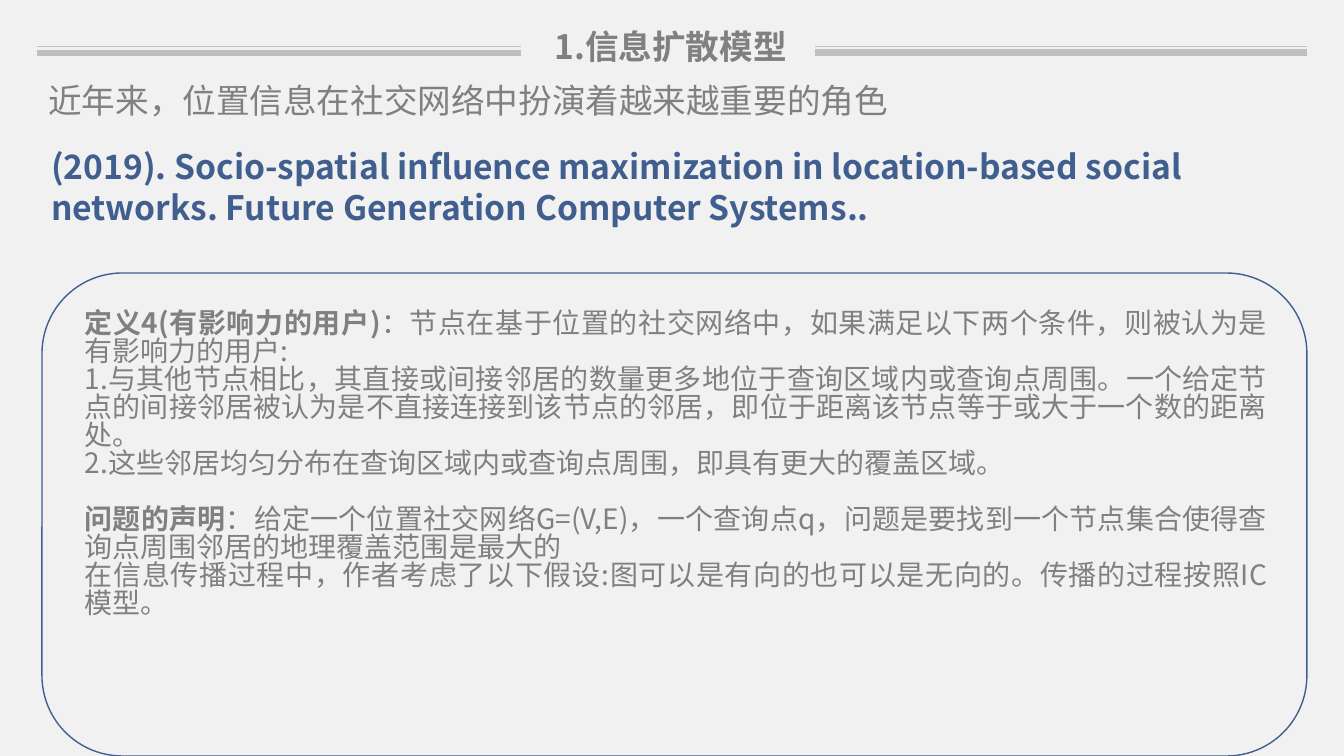
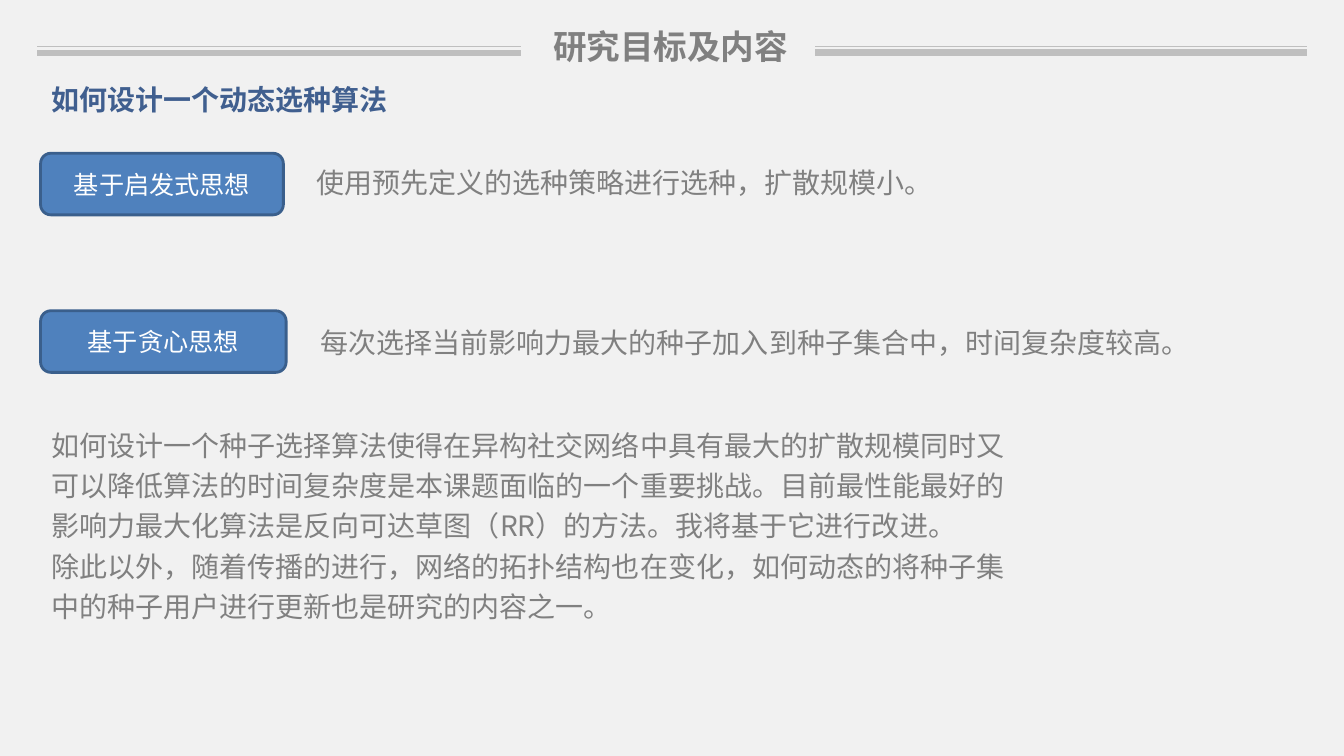
import pptx
import pptx.dml.color
import pptx.enum.shapes
import pptx.enum.text
import pptx.oxml.ns
import pptx.util
from lxml import etree

Pt = pptx.util.Pt
RGBColor = pptx.dml.color.RGBColor
Align = pptx.enum.text.PP_ALIGN
Anchor = pptx.enum.text.MSO_ANCHOR
ROUNDED = pptx.enum.shapes.MSO_SHAPE.ROUNDED_RECTANGLE
STRAIGHT = pptx.enum.shapes.MSO_CONNECTOR.STRAIGHT
qn = pptx.oxml.ns.qn

FONT = "Noto Sans CJK SC"
PAPER = RGBColor(0xF1, 0xF1, 0xF1)
GREY = RGBColor(0x80, 0x80, 0x80)
RAIL = RGBColor(0xBF, 0xBF, 0xBF)
NAVY = RGBColor(0x40, 0x5F, 0x8F)
BUTTON = RGBColor(0x4F, 0x81, 0xBD)
BUTTON_EDGE = RGBColor(0x3A, 0x5F, 0x8C)
WHITE = RGBColor(0xFF, 0xFF, 0xFF)

# Top rails: left end, right end, height, thickness
RAILS = [(582.5, 934, 33, 0.75), (26.5, 372, 33, 0.75),
         (582.5, 934, 37.5, 4.5), (26.5, 372, 38, 4.5)]


def write(shape, *paragraphs, box=None, size=20, color=GREY, bold=False, align=Align.LEFT,
          spacing=None, inset=(7.2, 3.6), anchor=Anchor.TOP, gap_before=None):
    """Fill a shape; a paragraph is a string or a (bold lead, rest) pair."""
    if box:
        shape.left, shape.top, shape.width, shape.height = map(Pt, box)
    frame = shape.text_frame
    frame.word_wrap = True
    frame.auto_size = pptx.enum.text.MSO_AUTO_SIZE.NONE
    frame.vertical_anchor = anchor
    frame.margin_left = frame.margin_right = Pt(inset[0])
    frame.margin_top = frame.margin_bottom = Pt(inset[1])
    for index, content in enumerate(paragraphs):
        paragraph = frame.add_paragraph() if index else frame.paragraphs[0]
        paragraph.alignment = align
        paragraph.line_spacing = spacing
        paragraph.space_before = Pt(20 if index == gap_before else 0)
        properties = paragraph._p.get_or_add_pPr()
        properties.set("marL", "0")
        properties.set("indent", "0")
        etree.SubElement(properties, qn("a:buNone"))
        parts = [(content, bold)] if isinstance(content, str) else zip(content, (True, False))
        for text, heavy in parts:
            run = paragraph.add_run()
            run.text = text
            run.font.size = Pt(size)
            run.font.bold = heavy
            run.font.color.rgb = color
            run.font.name = FONT
            etree.SubElement(run._r.get_or_add_rPr(), qn("a:ea"), typeface=FONT)


def add_titled_slide(title):
    slide = presentation.slides.add_slide(presentation.slide_layouts[1])
    write(slide.shapes.title, title, box=(376, 15, 206.5, 36), size=24, bold=True,
          align=Align.CENTER)
    for left, right, height, thickness in RAILS:
        rail = slide.shapes.add_connector(STRAIGHT, Pt(left), Pt(height), Pt(right), Pt(height))
        rail.line.color.rgb = RAIL
        rail.line.width = Pt(thickness)
        etree.SubElement(rail._element.spPr, qn("a:effectLst"))
    return slide


presentation = pptx.Presentation()
presentation.slide_width = Pt(960.5)
presentation.slide_height = Pt(540)
background = presentation.slide_master.background.fill
background.solid()
background.fore_color.rgb = PAPER

# Slide 1: diffusion model
slide = add_titled_slide("1.信息扩散模型")
frame_shape = slide.shapes.add_shape(ROUNDED, Pt(30), Pt(195), Pt(904), Pt(345))
frame_shape.shadow.inherit = False
frame_shape.fill.background()
frame_shape.line.color.rgb = NAVY
frame_shape.line.width = Pt(1)

write(slide.placeholders[1],
      ("定义4(有影响力的用户)",
       "：节点在基于位置的社交网络中，如果满足以下两个条件，则被认为是有影响力的用户:"),
      "1.与其他节点相比，其直接或间接邻居的数量更多地位于查询区域内或查询点周围。"
      "一个给定节点的间接邻居被认为是不直接连接到该节点的邻居，"
      "即位于距离该节点等于或大于一个数的距离处。",
      "2.这些邻居均匀分布在查询区域内或查询点周围，即具有更大的覆盖区域。",
      ("问题的声明",
       "：给定一个位置社交网络G=(V,E)，一个查询点q，"
       "问题是要找到一个节点集合使得查询点周围邻居的地理覆盖范围是最大的"),
      "在信息传播过程中，作者考虑了以下假设:图可以是有向的也可以是无向的。"
      "传播的过程按照IC模型。",
      box=(55.5, 219, 855, 227.5), align=Align.JUSTIFY, spacing=Pt(20), inset=(5, 3),
      gap_before=3)
write(slide.shapes.add_textbox(0, 0, 0, 0),
      "近年来，位置信息在社交网络中扮演着越来越重要的角色",
      box=(29.5, 62.5, 810, 26.5), size=24, align=Align.JUSTIFY, spacing=Pt(20), inset=(5, 3))
write(slide.shapes.add_textbox(0, 0, 0, 0),
      "(2019). Socio-spatial influence maximization in location-based social networks. "
      "Future Generation Computer Systems..",
      box=(29.5, 101, 907, 65.5), size=24, color=NAVY, bold=True)

# Slide 2: research goals
slide = add_titled_slide("研究目标及内容")
write(slide.shapes.add_textbox(0, 0, 0, 0), "如何设计一个动态选种算法",
      box=(29.5, 55.5, 541.5, 31.5), color=NAVY, bold=True)

# Each approach: button label, button top and width, description, description left and top
approaches = [
    ("基于启发式思想", 109.5, 173.5, "使用预先定义的选种策略进行选种，扩散规模小。", 219, 110),
    ("基于贪心思想", 222, 175.5,
     "每次选择当前影响力最大的种子加入到种子集合中，时间复杂度较高。", 222, 224),
]
for label, top, width, description, text_left, text_top in approaches:
    button = slide.shapes.add_shape(ROUNDED, Pt(29), Pt(top), Pt(width), Pt(44))
    button.shadow.inherit = False
    button.fill.solid()
    button.fill.fore_color.rgb = BUTTON
    button.line.color.rgb = BUTTON_EDGE
    button.line.width = Pt(2)
    write(button, label, size=18, color=WHITE, align=Align.CENTER, anchor=Anchor.MIDDLE)
    write(slide.shapes.add_textbox(0, 0, 0, 0), description,
          box=(text_left, text_top, 704, 34), spacing=1.2)

write(slide.placeholders[1],
      "如何设计一个种子选择算法使得在异构社交网络中具有最大的扩散规模同时又"
      "可以降低算法的时间复杂度是本课题面临的一个重要挑战。目前最性能最好的"
      "影响力最大化算法是反向可达草图（RR）的方法。我将基于它进行改进。",
      "除此以外，随着传播的进行，网络的拓扑结构也在变化，"
      "如何动态的将种子集中的种子用户进行更新也是研究的内容之一。",
      box=(29.5, 297.5, 704, 152.5), spacing=1.2)

presentation.save("out.pptx")
